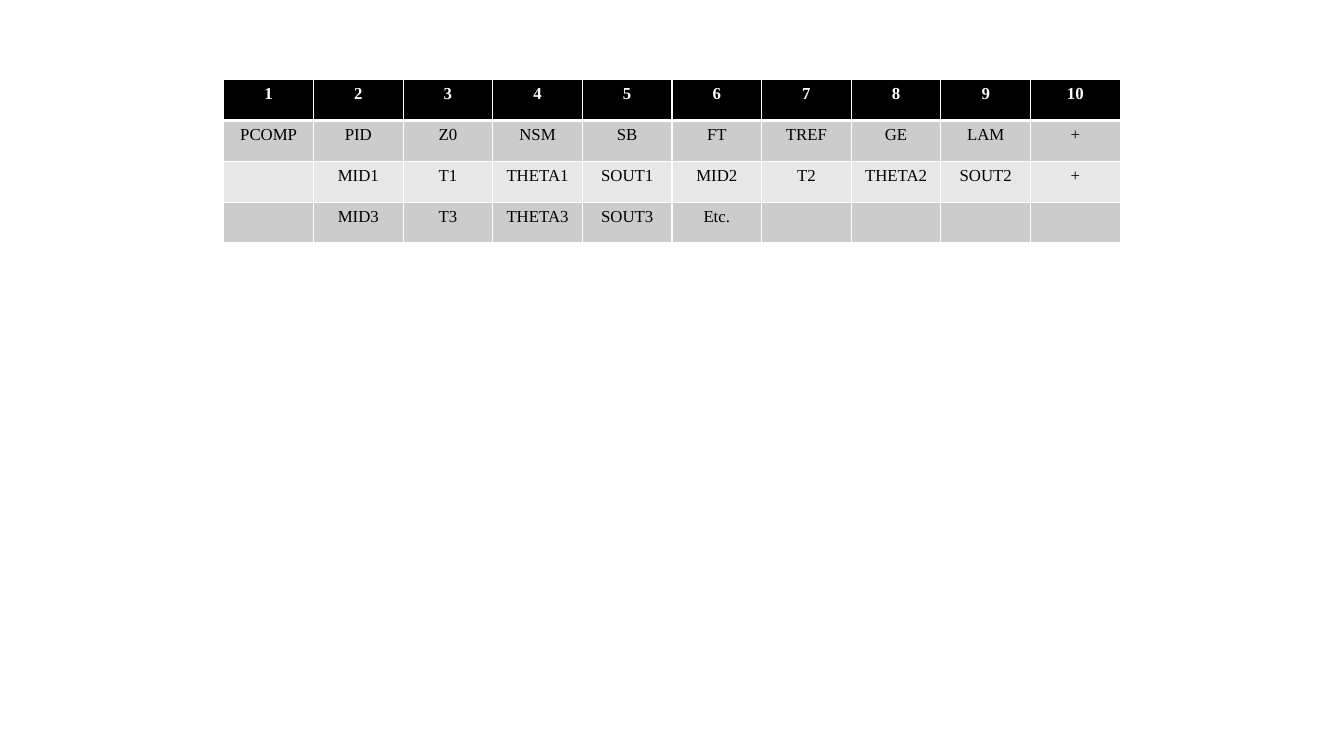
from lxml import etree
from pptx import Presentation
from pptx.dml.color import RGBColor
from pptx.enum import text
from pptx.oxml.ns import qn
from pptx.util import Inches, Pt

BLACK = RGBColor(0x00, 0x00, 0x00)
WHITE = RGBColor(0xFF, 0xFF, 0xFF)
DARK_BAND = RGBColor(0xCC, 0xCC, 0xCC)
LIGHT_BAND = RGBColor(0xE7, 0xE7, 0xE7)

CARD_ROWS = [
    [str(number) for number in range(1, 11)],
    ["PCOMP", "PID", "Z0", "NSM", "SB", "FT", "TREF", "GE", "LAM", "+"],
    ["", "MID1", "T1", "THETA1", "SOUT1", "MID2", "T2", "THETA2", "SOUT2", "+"],
    ["", "MID3", "T3", "THETA3", "SOUT3", "Etc.", "", "", "", ""],
]
ROW_FILLS = [BLACK, DARK_BAND, LIGHT_BAND, DARK_BAND]


def add_border(cell, side, points):
    properties = cell._tc.get_or_add_tcPr()
    line = etree.SubElement(properties, qn(f"a:ln{side}"), w=str(Pt(points)))
    fill = etree.SubElement(line, qn("a:solidFill"))
    etree.SubElement(fill, qn("a:srgbClr"), val=str(WHITE))


deck = Presentation()
deck.slide_width = Inches(13.33)
deck.slide_height = Inches(7.5)
page = deck.slides.add_slide(deck.slide_layouts[6])

card = page.shapes.add_table(
    len(CARD_ROWS), len(CARD_ROWS[0]),
    Inches(2.22), Inches(0.79), Inches(8.89), Inches(1.62),
).table

for row, labels in enumerate(CARD_ROWS):
    is_header = row == 0
    for column, label in enumerate(labels):
        cell = card.cell(row, column)
        add_border(cell, "L", 1)
        add_border(cell, "R", 1)
        add_border(cell, "T", 3 if row == 1 else 1)
        add_border(cell, "B", 3 if is_header else 1)
        cell.fill.solid()
        cell.fill.fore_color.rgb = ROW_FILLS[row]
        if label:
            para = cell.text_frame.paragraphs[0]
            para.alignment = text.PP_ALIGN.CENTER
            span = para.add_run()
            span.text = label
            span.font.name = "Times New Roman"
            span.font.size = Pt(12)
            span.font.bold = is_header
            span.font.color.rgb = WHITE if is_header else BLACK

deck.save("out.pptx")
